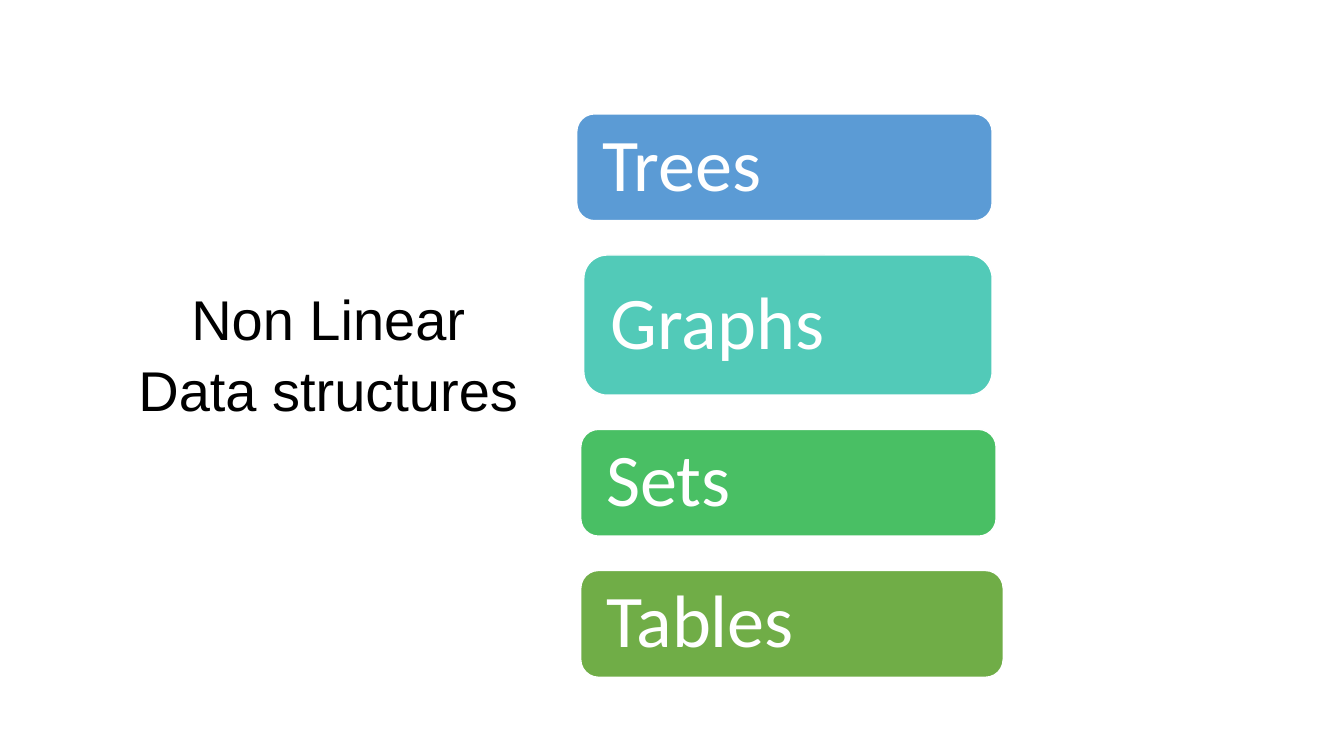
from dataclasses import dataclass

from pptx import Presentation
from pptx.dml.color import RGBColor
from pptx.enum.shapes import MSO_SHAPE
from pptx.enum.text import MSO_ANCHOR, PP_ALIGN
from pptx.slide import Slide
from pptx.text.text import TextFrame
from pptx.util import Inches, Pt

ROUNDED = MSO_SHAPE.ROUNDED_RECTANGLE
MIDDLE = MSO_ANCHOR.MIDDLE
LEFT, CENTER = PP_ALIGN.LEFT, PP_ALIGN.CENTER

STACK_TOP = 1.13
STACK_GAP = 0.34
WHITE = "FFFFFF"
BLACK = "000000"


@dataclass(frozen=True)
class Structure:
    name: str
    left: float
    width: float
    height: float
    fill: str


STRUCTURES = (
    Structure("Trees", 5.72, 4.12, 1.06, "5B9BD5"),
    Structure("Graphs", 5.79, 4.05, 1.39, "52CAB8"),
    Structure("Sets", 5.76, 4.12, 1.06, "49BF64"),
    Structure("Tables", 5.76, 4.19, 1.06, "70AD47"),
)


def color(value: str) -> RGBColor:
    return RGBColor.from_string(value)


def write(frame: TextFrame, text: str, font: str, size: int, ink: str,
          align: PP_ALIGN, spacing: float) -> None:
    frame.word_wrap = True
    frame.vertical_anchor = MIDDLE
    para = frame.paragraphs[0]
    para.alignment = align
    para.line_spacing = spacing
    span = para.add_run()
    span.text = text
    span.font.name = font
    span.font.size = Pt(size)
    span.font.color.rgb = color(ink)


def draw_title(page: Slide) -> None:
    title = page.shapes.title
    title.left, title.top = Inches(1.26), Inches(2.76)
    title.width, title.height = Inches(3.99), Inches(1.45)
    write(title.text_frame, "Non Linear Data structures", "Arial", 40,
          BLACK, CENTER, 1.06)


def draw_structure(page: Slide, item: Structure, top: float) -> None:
    box = page.shapes.add_shape(ROUNDED, Inches(item.left), Inches(top),
                                Inches(item.width), Inches(item.height))
    box.shadow.inherit = False
    box.fill.solid()
    box.fill.fore_color.rgb = color(item.fill)
    box.line.color.rgb = color(WHITE)
    box.line.width = Pt(1)
    frame = box.text_frame
    frame.margin_left = frame.margin_right = Inches(0.2)
    frame.margin_top = frame.margin_bottom = 0
    write(frame, item.name, "Calibri", 53, WHITE, LEFT, 0.9)


def main() -> None:
    deck = Presentation()
    deck.slide_width, deck.slide_height = Inches(13.33), Inches(7.5)
    page = deck.slides.add_slide(deck.slide_layouts.get_by_name("Title Only"))
    draw_title(page)
    top = STACK_TOP
    for item in STRUCTURES:
        draw_structure(page, item, top)
        top += item.height + STACK_GAP
    deck.save("out.pptx")


if __name__ == "__main__":
    main()
